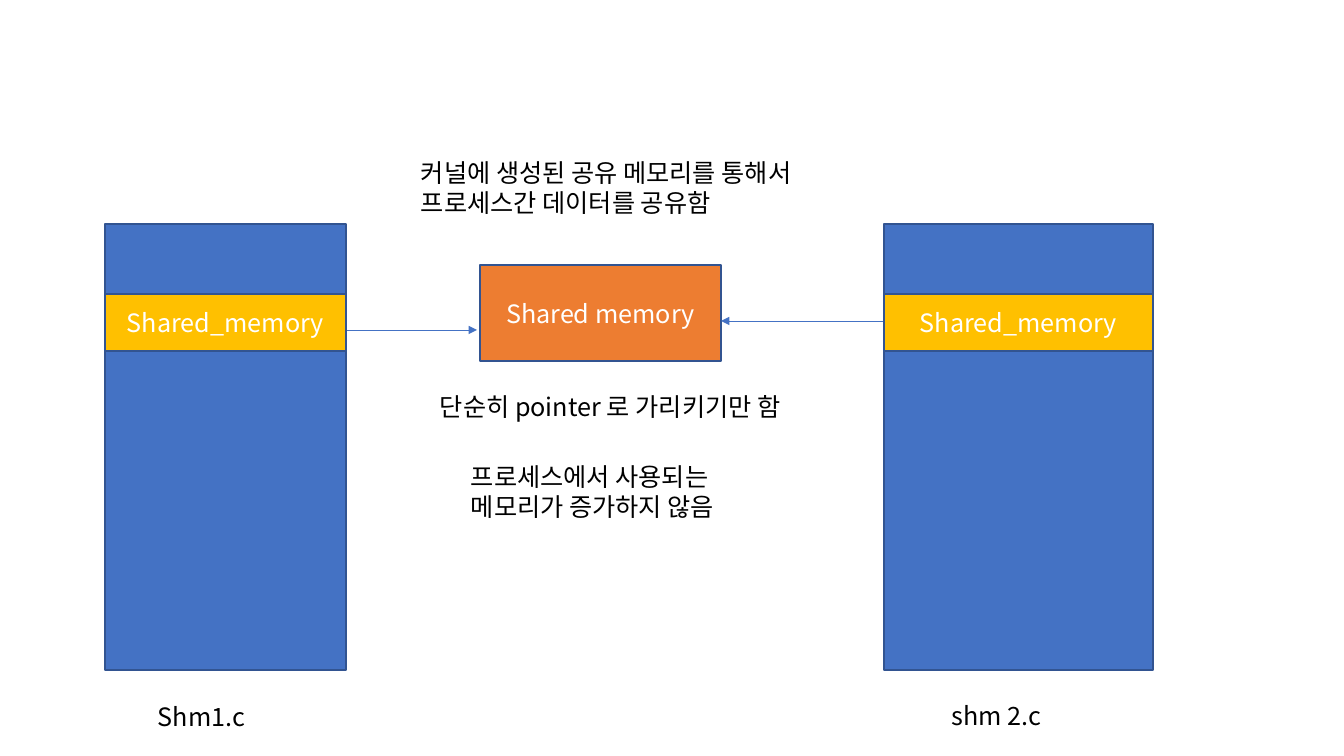
import pptx
import pptx.util
import pptx.dml.color
import pptx.enum.shapes
import pptx.enum.text
import pptx.oxml.ns
import lxml.etree
from dataclasses import dataclass


@dataclass(frozen=True)
class Theme:
    process: str = "4472C4"
    kernel: str = "ED7D31"
    segment: str = "FFC000"
    outline: str = "325491"
    light: str = "FFFFFF"
    dark: str = "000000"
    font: str = "Noto Sans CJK KR"
    size: float = 18
    border: float = 1
    arrow: float = 0.5


def px(n):
    """Pixels (100.8 to the inch) to EMU."""
    return pptx.util.Emu(round(n * 914400 / 100.8))


def rgb(value):
    return pptx.dml.color.RGBColor.from_string(value)


class Canvas:
    def __init__(self, slide, theme):
        self.slide, self.theme = slide, theme

    def set_text(self, tf, text, color):
        p = tf.paragraphs[0]
        p.text = text
        p.font.size = pptx.util.Pt(self.theme.size)
        p.font.color.rgb = rgb(color)
        p.font.name = self.theme.font
        # East Asian typeface for the Korean text
        props = p._p.pPr.find(pptx.oxml.ns.qn("a:defRPr"))
        ea = lxml.etree.SubElement(props, pptx.oxml.ns.qn("a:ea"))
        ea.set("typeface", self.theme.font)
        return p

    def box(self, x, y, w, h, fill, text=None):
        sp = self.slide.shapes.add_shape(
            pptx.enum.shapes.MSO_SHAPE.RECTANGLE, px(x), px(y), px(w), px(h))
        sp.shadow.inherit = False
        sp.fill.solid()
        sp.fill.fore_color.rgb = rgb(fill)
        sp.line.color.rgb = rgb(self.theme.outline)
        sp.line.width = pptx.util.Pt(self.theme.border)
        if text:
            sp.text_frame.vertical_anchor = pptx.enum.text.MSO_ANCHOR.MIDDLE
            p = self.set_text(sp.text_frame, text, self.theme.light)
            p.alignment = pptx.enum.text.PP_ALIGN.CENTER

    def label(self, x, y, w, h, text):
        tf = self.slide.shapes.add_textbox(px(x), px(y), px(w), px(h)).text_frame
        tf.word_wrap = True
        tf.auto_size = pptx.enum.text.MSO_AUTO_SIZE.SHAPE_TO_FIT_TEXT
        self.set_text(tf, text, self.theme.dark)

    def arrow(self, x1, x2, y):
        line = self.slide.shapes.add_connector(
            pptx.enum.shapes.MSO_CONNECTOR.STRAIGHT, px(x1), px(y), px(x2), px(y))
        line.line.color.rgb = rgb(self.theme.process)
        line.line.width = pptx.util.Pt(self.theme.arrow)
        ln = line._element.spPr.find(pptx.oxml.ns.qn("a:ln"))
        head = lxml.etree.SubElement(ln, pptx.oxml.ns.qn("a:tailEnd"))
        head.set("type", "triangle")
        lxml.etree.SubElement(
            line._element.spPr, pptx.oxml.ns.qn("a:effectLst"))


prs = pptx.Presentation()
prs.slide_width, prs.slide_height = px(1344), px(756)
theme = Theme()
c = Canvas(prs.slides.add_slide(prs.slide_layouts[6]), theme)

# Process address spaces: left, width
processes = [(105, 241), (884, 269)]
for x, w in processes:
    c.box(x, 224, w, 446, theme.process)

# Kernel memory and the pointers to it
c.box(480, 265, 241, 96, theme.kernel, "Shared memory")
c.arrow(346, 477, 330)
c.arrow(899, 721, 321)

# Mapped segment in each process
for x, w in processes:
    c.box(x, 294, w, 57, theme.segment, "Shared_memory")

# Program names
c.label(148, 696, 211, 40, "Shm1.c")
c.label(942, 695, 211, 40, "shm 2.c")

# Explanations
c.label(430, 386, 430, 40, "단순히 pointer 로 가리키기만 함")
c.label(411, 152, 430, 71, "커널에 생성된 공유 메모리를 통해서 프로세스간 데이터를 공유함")
c.label(461, 456, 302, 71, "프로세스에서 사용되는 메모리가 증가하지 않음")

prs.save("out.pptx")
